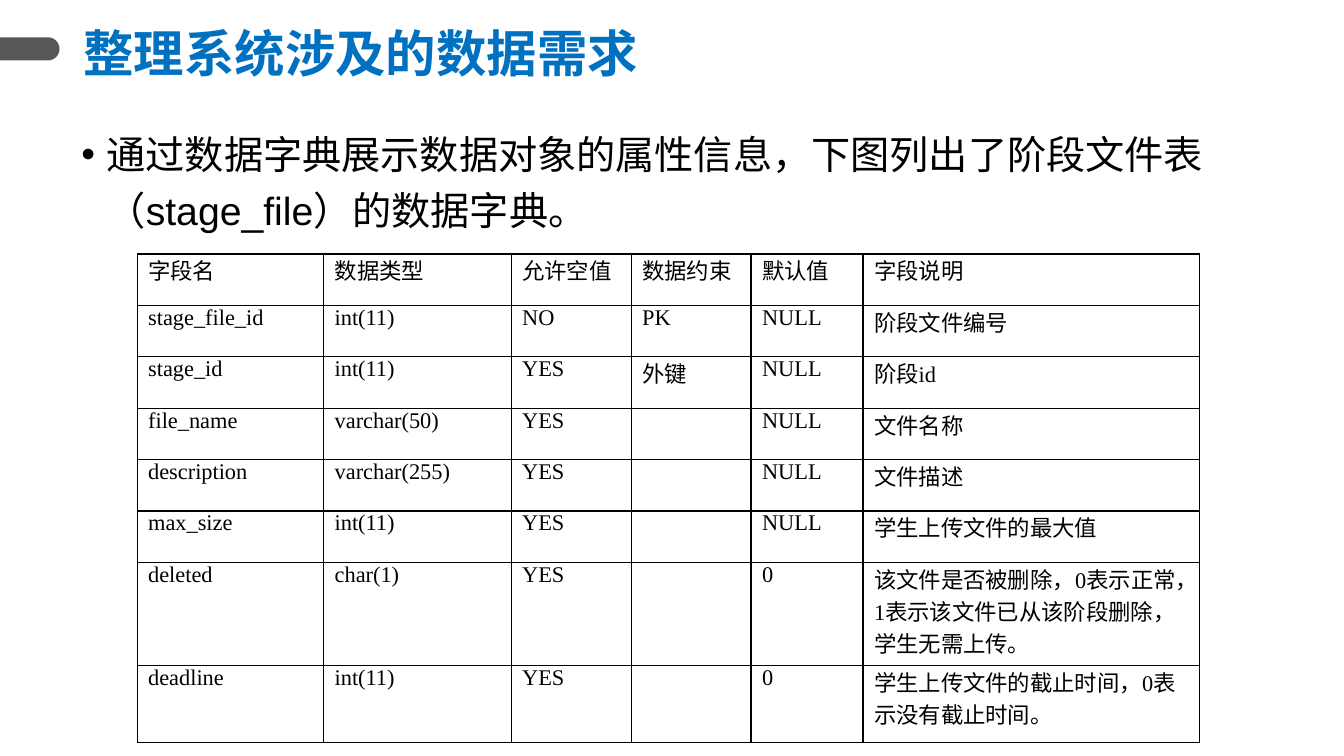
from lxml import etree
from pptx import Presentation
from pptx import util as u
from pptx.dml.color import RGBColor
from pptx.enum import shapes, text
from pptx.oxml import ns

COLORS = {"title": "0070C0", "ink": "000000", "tab": "575757"}
CJK_FONT = "Noto Sans CJK SC"
COLUMN_WIDTHS = [1.85, 1.86, 1.19, 1.19, 1.11, 3.34]
ROW_HEIGHTS = [0.51] * 6 + [1.02, 0.77]
FIELDS = [
    ["字段名", "数据类型", "允许空值", "数据约束", "默认值", "字段说明"],
    ["stage_file_id", "int(11)", "NO", "PK", "NULL", "阶段文件编号"],
    ["stage_id", "int(11)", "YES", "外键", "NULL", "阶段id"],
    ["file_name", "varchar(50)", "YES", "", "NULL", "文件名称"],
    ["description", "varchar(255)", "YES", "", "NULL", "文件描述"],
    ["max_size", "int(11)", "YES", "", "NULL", "学生上传文件的最大值"],
    ["deleted", "char(1)", "YES", "", "0",
     "该文件是否被删除，0表示正常，1表示该文件已从该阶段删除，学生无需上传。"],
    ["deadline", "int(11)", "YES", "", "0",
     "学生上传文件的截止时间，0表示没有截止时间。"],
]


def color(name):
    return RGBColor.from_string(COLORS[name])


def add_element(parent, tag, **attributes):
    return etree.SubElement(parent, ns.qn(tag), {k: str(v) for k, v in attributes.items()})


def write(frame, content, size, font="Arial", ink="ink", bold=False,
          line_spacing=None, space_before=None, bullet=None, indent=0.25):
    """Fill the first paragraph of a text frame with one formatted run."""
    para = frame.paragraphs[0]
    para.font.size = u.Pt(size)
    para.line_spacing = line_spacing
    if space_before is not None:
        para.space_before = u.Pt(space_before)
    if bullet:
        properties = para._p.get_or_add_pPr()
        properties.set("marL", str(u.Inches(indent)))
        properties.set("indent", str(-u.Inches(indent)))
        mark_font = etree.Element(ns.qn("a:buFont"), typeface="Arial")
        mark = etree.Element(ns.qn("a:buChar"), char=bullet)
        defaults = properties.find(ns.qn("a:defRPr"))
        defaults.addprevious(mark_font)
        defaults.addprevious(mark)
    if not content:
        return
    span = para.add_run()
    span.text = content
    span.font.size = u.Pt(size)
    span.font.bold = bold
    span.font.name = font
    span.font.color.rgb = color(ink)
    add_element(span._r.get_or_add_rPr(), "a:ea", typeface=CJK_FONT)


class SlideBuilder:
    def __init__(self, deck):
        self.page = deck.slides.add_slide(deck.slide_layouts[6])

    def side_tab(self, left, top, width, height):
        """Draw a bar whose right end is round: a turned shape with two round corners."""
        box = self.page.shapes.add_shape(
            shapes.MSO_SHAPE.ROUND_2_SAME_RECTANGLE,
            u.Inches(left + (width - height) / 2), u.Inches(top + (height - width) / 2),
            u.Inches(height), u.Inches(width))
        box.rotation = 90
        box.adjustments[0] = 0.5
        box.shadow.inherit = False
        box.fill.solid()
        box.fill.fore_color.rgb = color("tab")
        box.line.fill.background()

    def text_box(self, content, left, top, width, height,
                 anchor=text.MSO_ANCHOR.TOP, **style):
        box = self.page.shapes.add_textbox(*map(u.Inches, (left, top, width, height)))
        box.text_frame.word_wrap = True
        box.text_frame.vertical_anchor = anchor
        write(box.text_frame, content, **style)

    def table(self, rows, left, top, widths, heights, **style):
        frame = self.page.shapes.add_table(
            len(rows), len(widths), u.Inches(left), u.Inches(top),
            u.Inches(sum(widths)), u.Inches(sum(heights)))
        grid = frame.table
        grid.first_row = grid.horz_banding = False
        for column, width in zip(grid.columns, widths):
            column.width = u.Inches(width)
        for row, height, values in zip(grid.rows, heights, rows):
            row.height = u.Inches(height)
            for cell, value in zip(row.cells, values):
                self.cell(cell, value, **style)

    def cell(self, cell, value, **style):
        cell.margin_left = cell.margin_right = u.Inches(0.11)
        cell.margin_top = cell.margin_bottom = 0
        write(cell.text_frame, value, **style)
        for side in "LRTB":
            line = add_element(cell._tc.get_or_add_tcPr(), f"a:ln{side}", w=u.Pt(1))
            fill = add_element(line, "a:solidFill")
            add_element(fill, "a:srgbClr", val=COLORS["ink"])
        cell.fill.background()


def main():
    deck = Presentation()
    deck.slide_width, deck.slide_height = u.Inches(13.33), u.Inches(7.5)
    slide = SlideBuilder(deck)
    slide.side_tab(0, 0.37, 0.59, 0.23)
    slide.text_box("整理系统涉及的数据需求", 0.73, 0.13, 11.91, 0.86,
                   anchor=text.MSO_ANCHOR.MIDDLE, size=36, font=CJK_FONT,
                   ink="title", bold=True, line_spacing=0.9)
    slide.table(FIELDS, 1.36, 2.52, COLUMN_WIDTHS, ROW_HEIGHTS,
                size=16, font="Times New Roman")
    slide.text_box("通过数据字典展示数据对象的属性信息，下图列出了阶段文件表（stage_file）的数据字典。",
                   0.71, 1.15, 11.93, 1.12, size=28, line_spacing=1.2,
                   space_before=10, bullet="•")
    deck.save("out.pptx")


if __name__ == "__main__":
    main()
